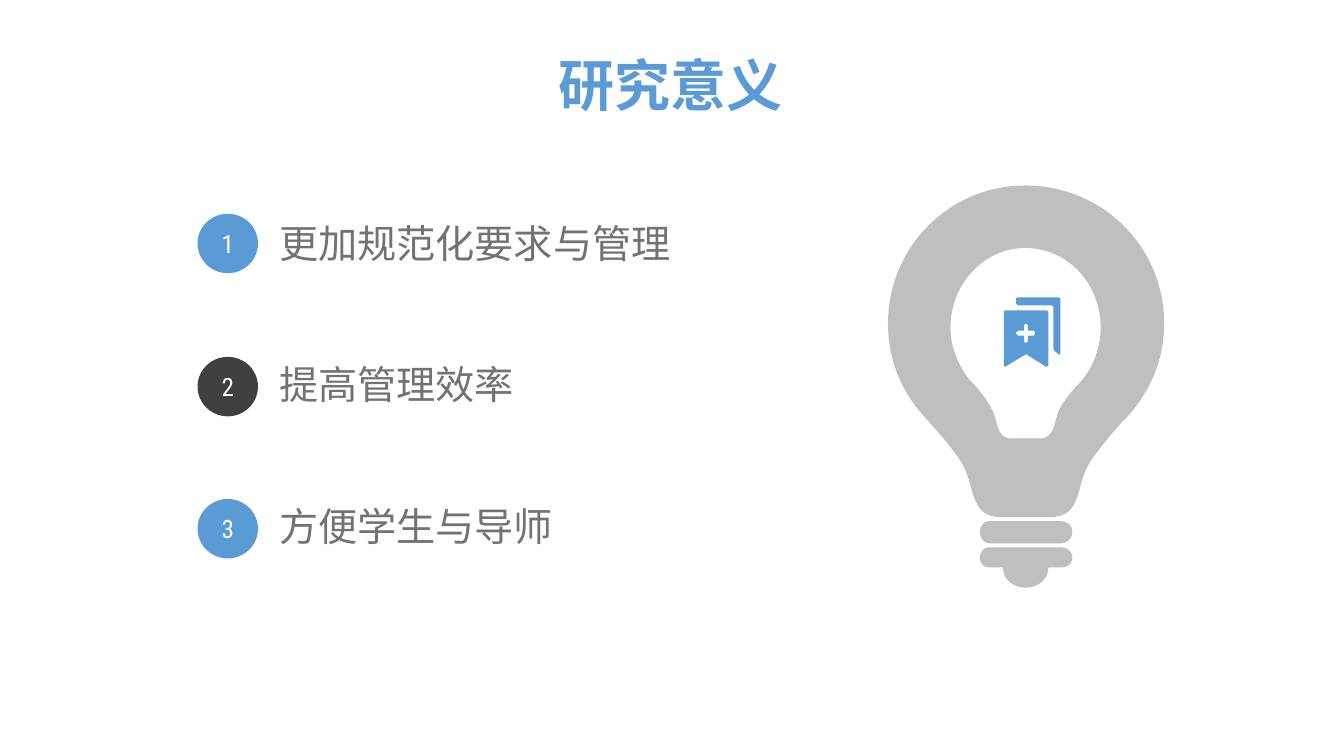
from dataclasses import dataclass

from lxml.etree import SubElement
from pptx import Presentation
from pptx.dml.color import RGBColor
from pptx.enum.shapes import MSO_SHAPE as Preset
from pptx.enum.text import MSO_ANCHOR as Anchor, MSO_AUTO_SIZE as Fit, PP_ALIGN as Align
from pptx.oxml.ns import qn
from pptx.util import Pt

PX = 9144
PAGE_HEIGHT = 750


@dataclass(frozen=True)
class Theme:
    blue: str = "5B9BD5"
    dark: str = "404040"
    gray: str = "BFBFBF"
    text: str = "767171"
    white: str = "FFFFFF"
    cjk_font: str = "Noto Sans CJK SC"
    number_font: str = "Roboto Condensed"
    title_size: int = 40
    point_size: int = 28
    number_size: int = 18


THEME = Theme()
POINTS = ["更加规范化要求与管理", "提高管理效率", "方便学生与导师"]

BULB_OUTER = [
    (136, 0), (61, 0, 0, 61, 0, 137), (0, 172, 13, 204, 35, 228), (41, 235),
    (49, 244, 63, 259, 73, 275), (87, 297, 80, 329, 112, 329), (161, 329),
    (193, 329, 186, 297, 200, 275), (210, 260, 223, 245, 231, 236),
    (257, 211, 274, 176, 274, 137), (274, 61, 213, 0, 136, 0),
]
BULB_INNER = [
    (188, 198), (183, 203, 176, 212, 171, 220), (164, 233, 167, 251, 150, 251),
    (123, 251), (106, 251, 110, 233, 102, 220), (97, 211, 90, 202, 85, 197),
    (81, 193), (70, 179, 62, 161, 62, 141), (62, 97, 96, 62, 136, 62),
    (178, 62, 211, 97, 211, 141), (211, 163, 202, 184, 188, 198),
]
BULB_RING = [
    (81, 0), (9, 0), (4, 0, 0, 5, 0, 11), (0, 16, 4, 22, 9, 22),
    (81, 22), (87, 22, 92, 16, 92, 11), (92, 5, 87, 0, 81, 0),
]
BULB_BASE = [
    (81, 0), (9, 0), (4, 0, 0, 5, 0, 10), (0, 16, 4, 20, 9, 20), (23, 20),
    (23, 32, 33, 40, 46, 40), (58, 40, 68, 32, 68, 20), (81, 20),
    (87, 20, 92, 16, 92, 10), (92, 5, 87, 0, 81, 0),
]
BOOKMARK_FRONT = [
    (42, 0), (1, 0), (0, 1), (0, 55), (1, 56), (21, 44), (23, 44),
    (42, 56), (44, 55), (44, 1), (42, 0),
]
BOOKMARK_PLUS = [
    (31, 23), (30, 25), (24, 25), (24, 31), (22, 32), (21, 32), (20, 31),
    (20, 25), (14, 25), (12, 23), (12, 22), (14, 20), (20, 20), (20, 15),
    (21, 13), (22, 13), (24, 15), (24, 20), (30, 20), (31, 22), (31, 23),
]
BOOKMARK_BACK = [
    (42, 0), (44, 1), (44, 56), (43, 57), (38, 53), (37, 50), (37, 9),
    (35, 8), (2, 8), (0, 6), (0, 1), (2, 0), (42, 0),
]


def paint(shape, color):
    shape.shadow.inherit = False
    shape.fill.solid()
    shape.fill.fore_color.rgb = RGBColor.from_string(color)
    shape.line.fill.background()


def write(shape, text, font, size, color, align=Align.LEFT, bold=False):
    para = shape.text_frame.paragraphs[0]
    para.alignment = align
    span = para.add_run()
    span.text = text
    span.font.color.rgb = RGBColor.from_string(color)
    for name, value in {"name": font, "size": Pt(size), "bold": bold}.items():
        setattr(span.font, name, value)
    SubElement(span.font._element, qn("a:ea"), typeface=font)


def add_text(page, box, *args, **options):
    shape = page.shapes.add_textbox(*(length * PX for length in box))
    shape.text_frame.word_wrap = False
    shape.text_frame.auto_size = Fit.SHAPE_TO_FIT_TEXT
    write(shape, *args, **options)


def bend(line, segment):
    line.tag = qn("a:cubicBezTo")
    for index in (0, 1):
        x, y = segment[2 * index:2 * index + 2]
        control = SubElement(line, qn("a:pt"), x=str(x * PX), y=str(y * PX))
        line.insert(index, control)


def add_outline(page, left, top, color, *contours):
    builder = page.shapes.build_freeform(*contours[0][0], scale=PX)
    for index, contour in enumerate(contours):
        if index:
            builder.move_to(*contour[0])
        builder.add_line_segments([segment[-2:] for segment in contour[1:]])
    shape = builder.convert_to_shape(left * PX, top * PX)
    outline = next(shape._element.iter(qn("a:path")))
    for name, length in {"w": shape.width, "h": shape.height}.items():
        outline.set(name, str(length))
    for point in outline.iter(qn("a:pt")):
        for axis in ("x", "y"):
            point.set(axis, str(int(point.get(axis)) * PX))
    segments = [segment for contour in contours for segment in contour[1:]]
    for line, segment in zip(outline.findall(qn("a:lnTo")), segments):
        if len(segment) == 6:
            bend(line, segment)
    paint(shape, color)


def add_title(page, left, top, width, height):
    add_text(page, (left, top, width, height), "研究意义", THEME.cjk_font,
             THEME.title_size, THEME.blue, bold=True)


def add_badge(page, number, color, *box):
    badge = page.shapes.add_shape(Preset.OVAL, *(length * PX for length in box))
    paint(badge, color)
    badge.text_frame.vertical_anchor = Anchor.MIDDLE
    write(badge, str(number), THEME.number_font, THEME.number_size,
          THEME.white, align=Align.CENTER)


def add_points(page, left, top, height):
    badge_width, badge_height, label_height = 60, 59, 57
    badge_pitch = (height - badge_height) / (len(POINTS) - 1)
    for index, point in enumerate(POINTS):
        label_box = (left + 71, top + 1 + index * 140, 23 + 39 * len(point), label_height)
        add_text(page, label_box, point, THEME.cjk_font, THEME.point_size, THEME.text)
    for index in range(len(POINTS)):
        color = THEME.dark if index % 2 else THEME.blue
        add_badge(page, index + 1, color, left, top + round(index * badge_pitch),
                  badge_width, badge_height)


def add_bulb(page, left, top):
    add_outline(page, left, top, THEME.gray, BULB_OUTER, BULB_INNER)
    add_outline(page, left + 91, top + 333, THEME.gray, BULB_RING)
    add_outline(page, left + 91, top + 359, THEME.gray, BULB_BASE)
    add_bookmark(page, left + 115, top + 111)


def add_bookmark(page, left, top):
    add_outline(page, left, top + 13, THEME.blue, BOOKMARK_FRONT, BOOKMARK_PLUS)
    add_outline(page, left + 12, top, THEME.blue, BOOKMARK_BACK)


def main():
    deck = Presentation()
    deck.slide_height = PAGE_HEIGHT * PX
    deck.slide_width = deck.slide_height * 16 // 9
    page = deck.slides.add_slide(deck.slide_layouts[6])
    add_title(page, 544, 45, 245, 77)
    add_points(page, 196, 212, 342)
    add_bulb(page, 881, 184)
    deck.save("out.pptx")


if __name__ == "__main__":
    main()
